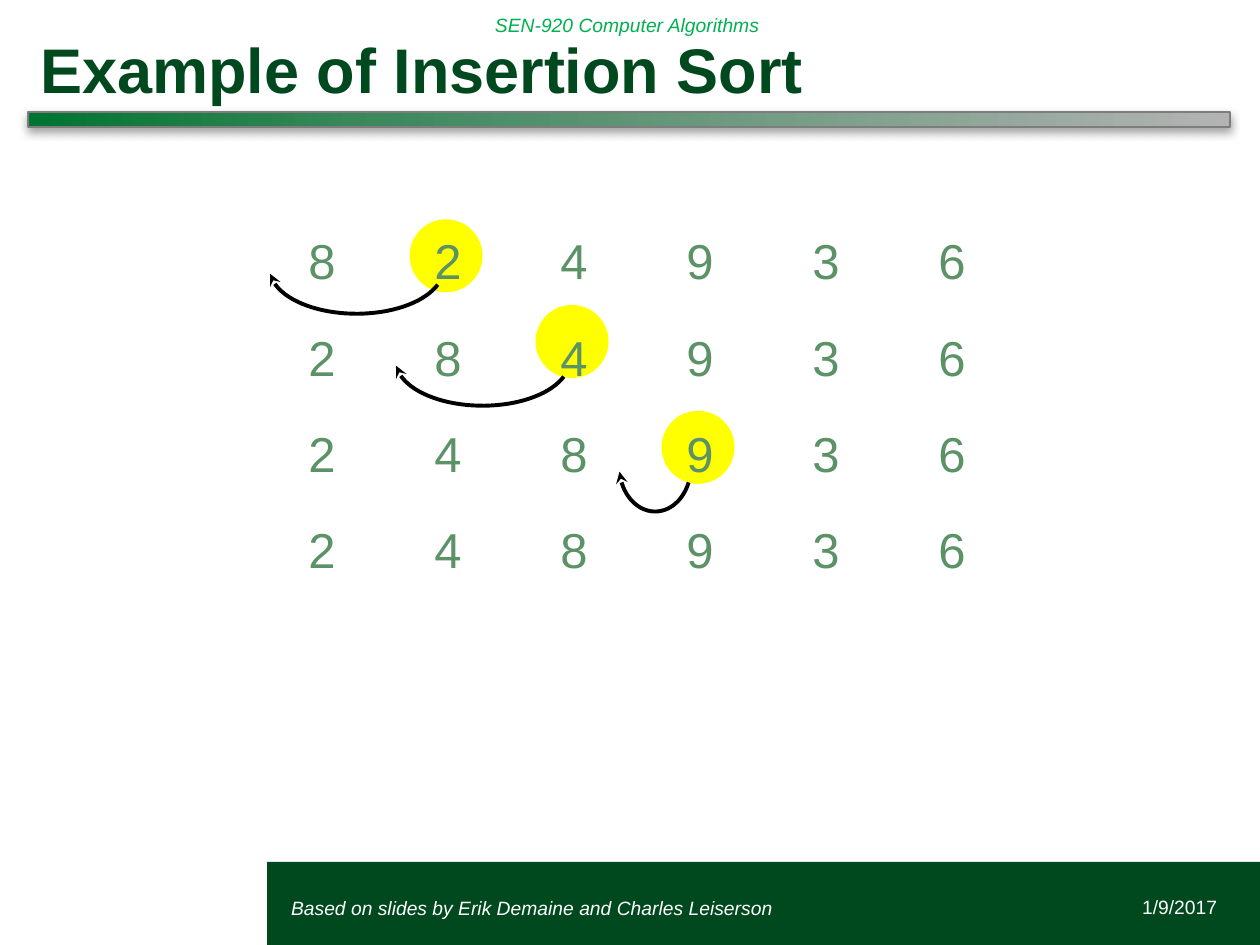
import math

from pptx import Presentation
from pptx.dml.color import RGBColor
from pptx.enum.shapes import MSO_SHAPE
from pptx.enum.text import MSO_ANCHOR, PP_ALIGN
from pptx.oxml import parse_xml
from pptx.oxml.ns import qn
from pptx.util import Inches, Pt

RECT, OVAL = MSO_SHAPE.RECTANGLE, MSO_SHAPE.OVAL
MIDDLE, BOTTOM = MSO_ANCHOR.MIDDLE, MSO_ANCHOR.BOTTOM
LEFT, RIGHT = PP_ALIGN.LEFT, PP_ALIGN.RIGHT

FONT = "Arial"
COLORS = {
    "dark": "00481E", "header": "00B050", "number": "5B9266",
    "highlight": "FFFF00", "arrow": "000000", "white": "FFFFFF",
    "bar_start": "007430", "bar_middle": "3C895C", "bar_end": "B3B3B3",
    "bar_line": "7D7D7D", "shadow": "808080",
}
NS = 'xmlns:a="http://schemas.openxmlformats.org/drawingml/2006/main"'

MARGIN, FULL_WIDTH = 0.22, 9.54
COLUMN = 1.0
ROWS = ["824936", "284936", "248936", "248936"]
CIRCLE_LEFT, CIRCLE_SIZE = 3.25, 0.58
# For each sorting step: circle top, then arc centre x, centre y and radius x
STEPS = [
    (1.74, 2.83, 2.13, 0.69),
    (2.42, 3.83, 2.86, 0.69),
    (3.26, 5.20, 3.70, 0.285),
]
ARC_HEIGHT, ARC_START, ARC_END, ARC_STEP = 0.36, 21, 173, 4


def rgb(name):
    return RGBColor.from_string(COLORS[name])


def box(left, top, width, height):
    return [Inches(v) for v in (left, top, width, height)]


def format_text(tf, size, color, bold=False, italic=False, align=LEFT):
    for p in tf.paragraphs:
        p.alignment = align
        for r in p.runs:
            r.font.name, r.font.size = FONT, Pt(size)
            r.font.bold, r.font.italic = bold, italic
            r.font.color.rgb = rgb(color)


def add_shape(s, kind, area, color):
    sp = s.shapes.add_shape(kind, *box(*area))
    sp.shadow.inherit = False
    sp.fill.solid()
    sp.fill.fore_color.rgb = rgb(color)
    sp.line.fill.background()
    return sp


def add_label(s, area, text, color, inset=True, **style):
    tf = s.shapes.add_textbox(*box(*area)).text_frame
    tf.word_wrap = True
    tf.vertical_anchor = MIDDLE
    if not inset:
        tf.margin_left = tf.margin_right = tf.margin_top = tf.margin_bottom = 0
    tf.text = text
    format_text(tf, 11, color, **style)


def add_gradient_bar(s):
    sp = add_shape(s, RECT, (MARGIN, 0.89, FULL_WIDTH, 0.12), "bar_start")
    sp.line.color.rgb = rgb("bar_line")
    sp.line.width = Pt(1)
    stops = [(0, "bar_start"), (29, "bar_middle"), (100, "bar_end")]
    stop_xml = "".join(
        f'<a:gs pos="{pos * 1000}"><a:srgbClr val="{COLORS[name]}"/></a:gs>'
        for pos, name in stops)
    pr = sp.element.spPr
    pr.replace(pr.find(qn("a:solidFill")), parse_xml(
        f'<a:gradFill {NS} rotWithShape="1"><a:gsLst>{stop_xml}</a:gsLst>'
        '<a:lin ang="0" scaled="0"/></a:gradFill>'))
    pr.find(qn("a:effectLst")).append(parse_xml(
        f'<a:outerShdw {NS} blurRad="{Pt(5)}" dist="{Pt(2)}" dir="5400000" '
        f'rotWithShape="0"><a:srgbClr val="{COLORS["shadow"]}">'
        '<a:alpha val="75000"/></a:srgbClr></a:outerShdw>'))


def add_title(s):
    title = s.shapes.title
    title.left, title.top, title.width, title.height = box(
        MARGIN, 0.16, FULL_WIDTH, 0.73)
    tf = title.text_frame
    tf.text = "Example of Insertion Sort"
    tf.vertical_anchor = BOTTOM
    format_text(tf, 36, "dark", bold=True)


def add_arc_arrow(s, cx, cy, rx):
    """Draw a curved arrow from right to left along the bottom of an ellipse."""
    points = []
    for degrees in range(ARC_START, ARC_END + 1, ARC_STEP):
        angle = math.radians(degrees)
        points.append((Inches(cx + rx * math.cos(angle)),
                       Inches(cy + ARC_HEIGHT * math.sin(angle))))
    builder = s.shapes.build_freeform(*points[0])
    builder.add_line_segments(points[1:], close=False)
    sp = builder.convert_to_shape()
    sp.shadow.inherit = False
    sp.fill.background()
    sp.line.color.rgb = rgb("arrow")
    sp.line.width = Pt(2.25)
    sp.line._get_or_add_ln().append(
        parse_xml(f'<a:tailEnd {NS} type="stealth" w="med" len="med"/>'))


def add_number_rows(s):
    tf = s.shapes.add_textbox(*box(2.35, 1.74, FULL_WIDTH, 5.69)).text_frame
    tf.word_wrap = True
    tf.margin_top = Inches(0.09)
    tf.text = "\n".join("\t".join(row) for row in ROWS)
    tabs = "".join(f'<a:tab pos="{Inches(COLUMN * i)}" algn="l"/>'
                   for i in range(1, len(ROWS[0])))
    for i, p in enumerate(tf.paragraphs):
        p._p.get_or_add_pPr().append(
            parse_xml(f"<a:tabLst {NS}>{tabs}</a:tabLst>"))
        if i:
            p.space_before = Pt(21.5)
    format_text(tf, 28, "number")


def main():
    prs = Presentation()
    prs.slide_width, prs.slide_height = Inches(10), Inches(7.5)
    s = prs.slides.add_slide(prs.slide_layouts[5])

    add_shape(s, RECT, (2.12, 6.84, 7.88, 0.66), "dark")
    add_label(s, (3.83, 0, 4.61, 0.4), "SEN-920 Computer Algorithms",
              "header", italic=True)
    add_gradient_bar(s)
    add_title(s)
    add_label(s, (2.31, 7.11, 4.61, 0.19),
              "Based on slides by Erik Demaine and Charles Leiserson",
              "white", inset=False, italic=True)
    for i, (top, *arc) in enumerate(STEPS):
        add_shape(s, OVAL, (CIRCLE_LEFT + i * COLUMN, top,
                            CIRCLE_SIZE, CIRCLE_SIZE), "highlight")
        add_arc_arrow(s, *arc)
    add_number_rows(s)
    add_label(s, (7.43, 7, 2.33, 0.4), "1/9/2017", "white", align=RIGHT)
    prs.save("out.pptx")


if __name__ == "__main__":
    main()
